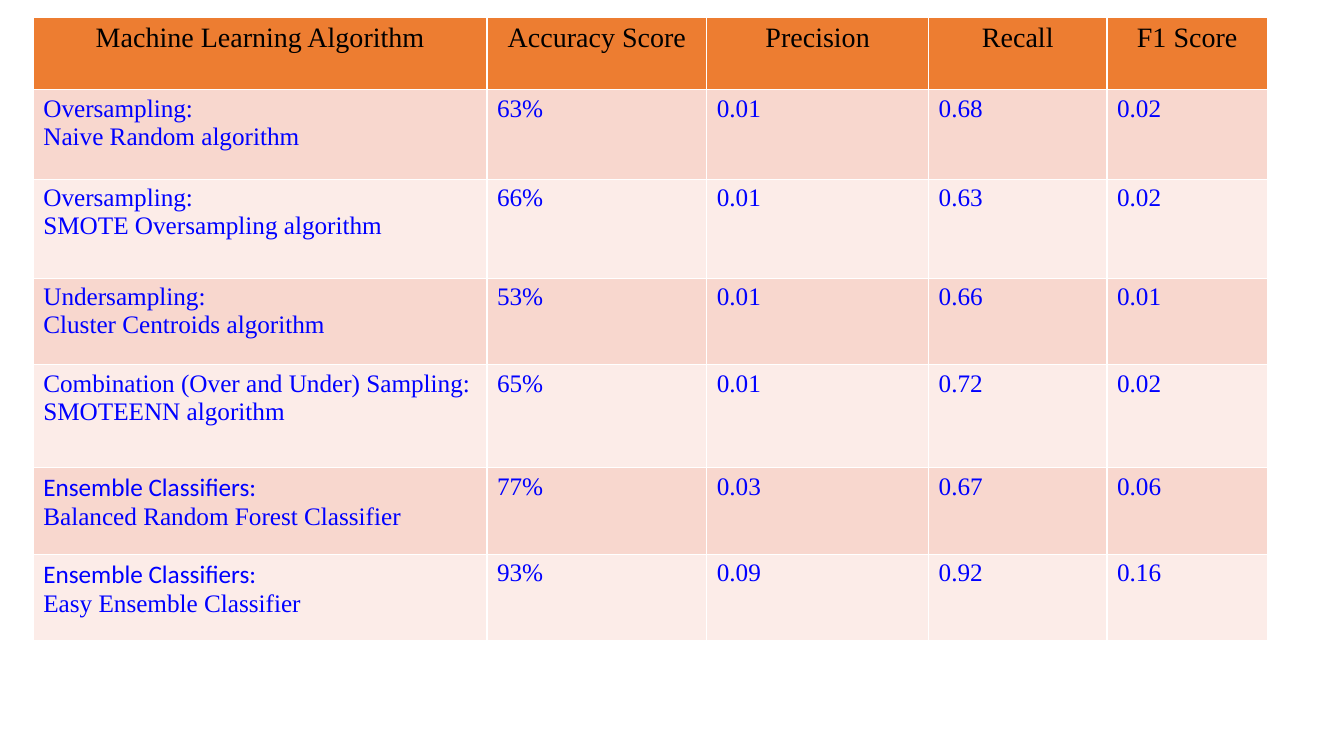
"""Build a slide with a table that compares scores of sampling algorithms."""
from pptx import Presentation
from pptx.dml.color import RGBColor as Rgb
from pptx.enum.text import PP_ALIGN as Align
from pptx.util import Inches, Pt

COLORS = {
    "head": "ED7D31",
    "odd": "F8D7CE",
    "even": "FCECE8",
    "black": "000000",
    "blue": "0000FF",
}
SERIF = "Times New Roman"
SANS = "Calibri"

WIDTHS = [4.5, 2.18, 2.2, 1.77, 1.59]
HEIGHTS = [0.72, 0.89, 0.98, 0.86, 1.02, 0.86, 0.86]
HEAD = ["Machine Learning Algorithm", "Accuracy Score", "Precision", "Recall", "F1 Score"]
ROWS = [
    ["Oversampling:\nNaive Random algorithm", "63%", "0.01", "0.68", "0.02"],
    ["Oversampling:\nSMOTE Oversampling algorithm", "66%", "0.01", "0.63", "0.02"],
    ["Undersampling:\nCluster Centroids algorithm", "53%", "0.01", "0.66", "0.01"],
    ["Combination (Over and Under) Sampling:\nSMOTEENN algorithm",
     "65%", "0.01", "0.72", "0.02"],
    ["Ensemble Classifiers:\nBalanced Random Forest Classifier",
     "77%", "0.03", "0.67", "0.06"],
    ["Ensemble Classifiers:\nEasy Ensemble Classifier", "93%", "0.09", "0.92", "0.16"],
]


def write(cell, text, size=18, color="blue", align=Align.LEFT):
    """Fill a cell with one paragraph per line of text."""
    cell.text = text
    for para in cell.text_frame.paragraphs:
        para.alignment = align
        for run in para.runs:
            font = run.font
            font.name = SANS if run.text == "Ensemble Classifiers:" else SERIF
            font.size = Pt(size)
            font.bold = False
            font.color.rgb = Rgb.from_string(COLORS[color])


deck = Presentation()
deck.slide_width, deck.slide_height = Inches(13.33), Inches(7.5)
slide = deck.slides.add_slide(deck.slide_layouts[6])

frame = slide.shapes.add_table(
    len(HEIGHTS), len(WIDTHS),
    Inches(0.33), Inches(0.17), Inches(sum(WIDTHS)), Inches(sum(HEIGHTS)),
)
table = frame.table
for col, width in zip(table.columns, WIDTHS):
    col.width = Inches(width)
for row, height in zip(table.rows, HEIGHTS):
    row.height = Inches(height)

for r, texts in enumerate([HEAD] + ROWS):
    shade = "head" if r == 0 else "odd" if r % 2 else "even"
    for c, text in enumerate(texts):
        cell = table.cell(r, c)
        cell.fill.solid()
        cell.fill.fore_color.rgb = Rgb.from_string(COLORS[shade])
        if r == 0:
            write(cell, text, size=20, color="black", align=Align.CENTER)
        else:
            write(cell, text)

deck.save("out.pptx")
